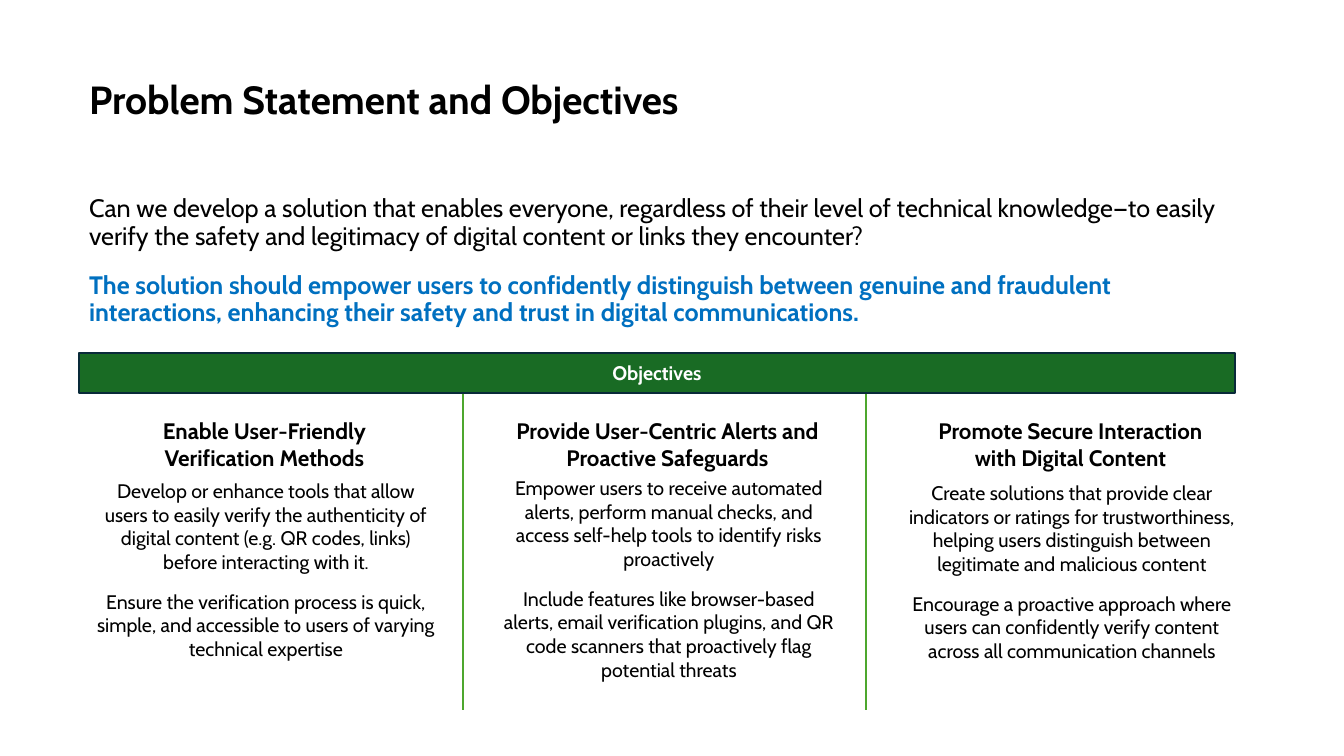
"""Build the problem statement and objectives slide."""
from pptx import Presentation
from pptx.dml.color import RGBColor
from pptx.enum.shapes import MSO_CONNECTOR as Conn, MSO_SHAPE as Kind
from pptx.enum.text import MSO_ANCHOR as Anchor, MSO_AUTO_SIZE as Auto, PP_ALIGN as Align
from pptx.oxml.ns import qn
from pptx.util import Pt

TITLE = "Problem Statement and Objectives"
ASK = ("Can we develop a solution that enables everyone, regardless of their level of technical "
       "knowledge—to easily verify the safety and legitimacy of digital content or links they "
       "encounter?")
GOAL = ("The solution should empower users to confidently distinguish between genuine and "
        "fraudulent interactions, enhancing their safety and trust in digital communications.")
BANNER = "Objectives"
COLUMNS = [
    ("Enable User-Friendly Verification Methods", 474, [
        "Develop or enhance tools that allow users to easily verify the authenticity of digital "
        "content (e.g. QR codes, links) before interacting with it.",
        "Ensure the verification process is quick, simple, and accessible to users of varying "
        "technical expertise"]),
    ("Provide User-Centric Alerts and Proactive Safeguards", 471, [
        "Empower users to receive automated alerts, perform manual checks, and access self-help "
        "tools to identify risks proactively",
        "Include features like browser-based alerts, email verification plugins, and QR code "
        "scanners that proactively flag potential threats"]),
    ("Promote Secure Interaction with Digital Content", 476, [
        "Create solutions that provide clear indicators or ratings for trustworthiness, helping "
        "users distinguish between legitimate and malicious content",
        "Encourage a proactive approach where users can confidently verify content across all "
        "communication channels"]),
]
COLORS = {"text": "000000", "goal": "0070C0", "bar": "196B24", "edge": "092A39",
          "rule": "4EA72E", "white": "FFFFFF"}
FONT = "Cabin"
PITCH = 403


def px(n):
    return round(n * 914400 / 100.8)


def color(name):
    return RGBColor.from_string(COLORS[name])


def place(shape, box):
    shape.left, shape.top, shape.width, shape.height = map(px, box)


def write(shape, texts, size, align, gap=0, lead=1.0, anchor=Anchor.TOP):
    frame = shape.text_frame
    frame.word_wrap = True
    frame.auto_size = Auto.NONE
    frame.vertical_anchor = anchor
    for i, (text, tint, bold) in enumerate(texts):
        para = frame.add_paragraph() if i else frame.paragraphs[0]
        para.alignment = align
        para.line_spacing = lead
        para.space_before = Pt(gap if i else 0)
        run = para.add_run()
        run.text = text
        font = run.font
        font.name, font.size, font.bold = FONT, Pt(size), bold
        font.color.rgb = color(tint)


def add_text(slide, box, *args, **opts):
    write(slide.shapes.add_textbox(*map(px, box)), *args, **opts)


def add_rule(slide, x):
    rule = slide.shapes.add_connector(Conn.STRAIGHT, px(x), px(394), px(x), px(710))
    rule.line.color.rgb = color("rule")
    rule.line.width = Pt(1)
    props = rule._element.spPr
    props.append(props.makeelement(qn("a:effectLst"), {}))


def main():
    deck = Presentation()
    deck.slide_width, deck.slide_height = px(1344), px(756)
    slide = deck.slides.add_slide(deck.slide_layouts[1])

    title, body = slide.placeholders
    place(title, (79, 33, 1180, 95))
    write(title, [(TITLE, "text", True)], 28, Align.LEFT, lead=0.9, anchor=Anchor.BOTTOM)
    place(body, (79, 191, 1175, 158))
    write(body, [(ASK, "text", False), (GOAL, "goal", True)], 18, Align.LEFT, gap=16, lead=0.9)
    for para in body.text_frame.paragraphs:
        props = para._p.get_or_add_pPr()
        props.set("marL", "0")
        props.set("indent", "0")
        props.append(props.makeelement(qn("a:buNone"), {}))

    for i, (head, top, points) in enumerate(COLUMNS):
        left = 84 + i * PITCH
        add_text(slide, (left + 16, 412, 329, 65), [(head, "text", True)], 16, Align.CENTER)
        add_text(slide, (left, top, 364, 217), [(p, "text", False) for p in points],
                 14, Align.CENTER, gap=12)
        if i:
            add_rule(slide, left - 24)

    bar = slide.shapes.add_shape(Kind.RECTANGLE, *map(px, (79, 353, 1156, 40)))
    bar.shadow.inherit = False
    bar.fill.solid()
    bar.fill.fore_color.rgb = color("bar")
    bar.line.color.rgb = color("edge")
    bar.line.width = Pt(1.5)
    write(bar, [(BANNER, "white", True)], 14, Align.CENTER, anchor=Anchor.MIDDLE)

    deck.save("out.pptx")


if __name__ == "__main__":
    main()
